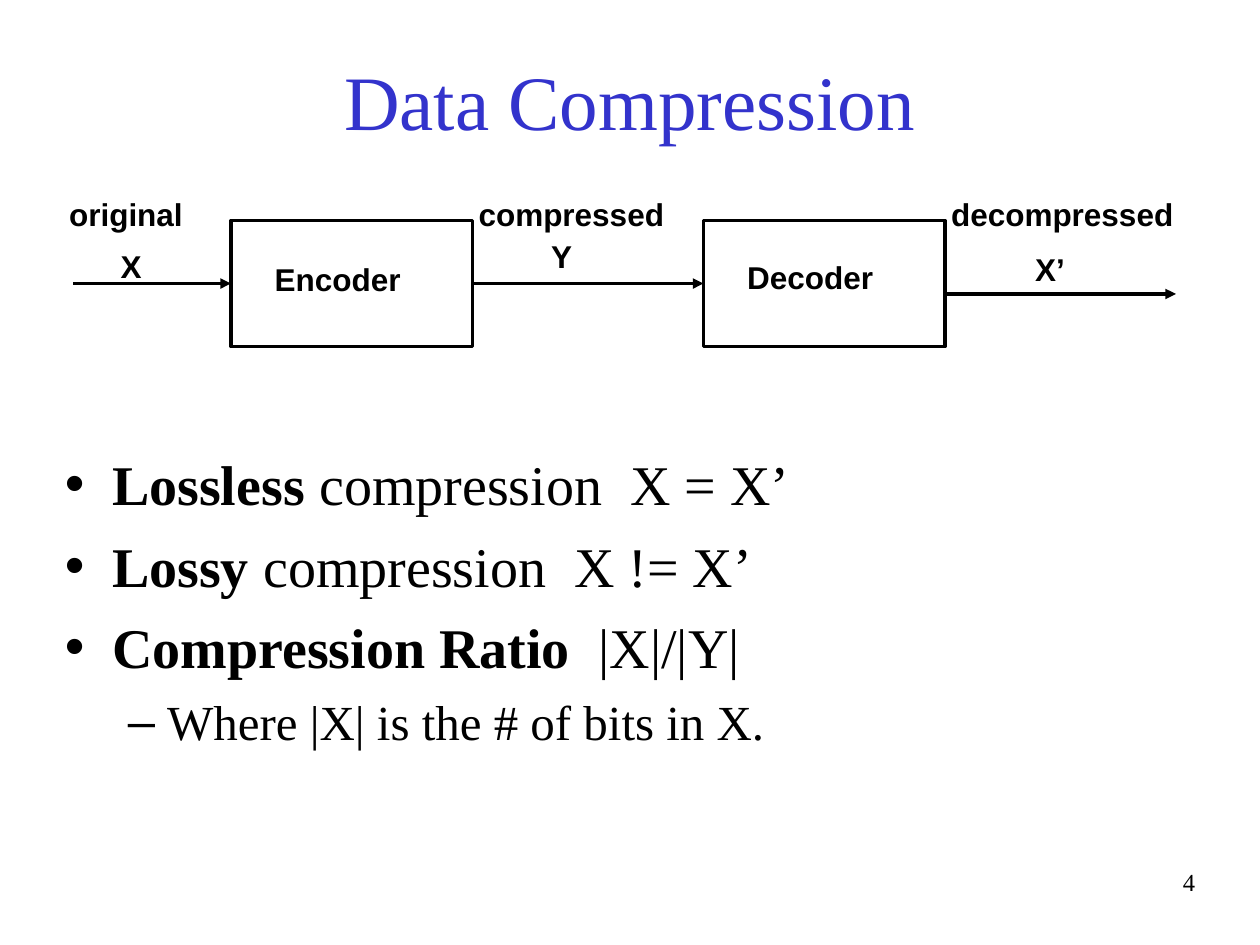
from lxml import etree
from pptx import Presentation
from pptx.dml.color import RGBColor
from pptx.enum.shapes import MSO_CONNECTOR, MSO_SHAPE
from pptx.enum.text import MSO_ANCHOR, MSO_AUTO_SIZE, PP_ALIGN
from pptx.oxml.ns import qn
from pptx.util import Pt

RECTANGLE = MSO_SHAPE.RECTANGLE
STRAIGHT = MSO_CONNECTOR.STRAIGHT
LEFT, CENTER, RIGHT = PP_ALIGN.LEFT, PP_ALIGN.CENTER, PP_ALIGN.RIGHT
MIDDLE = MSO_ANCHOR.MIDDLE
FIT_SHAPE = MSO_AUTO_SIZE.SHAPE_TO_FIT_TEXT
LEFT_SIDE, RIGHT_SIDE = 1, 3

COLORS = {"ink": "000000", "title": "3333CC"}
SERIF, SANS = "Times New Roman", "Arial"

STAGE_TOP, STAGE_WIDTH, STAGE_HEIGHT = 126, 138, 72
FLOW_Y = STAGE_TOP + STAGE_HEIGHT / 2

LABELS = [
    ("Encoder", 148, 145, 90, False),
    ("Decoder", 418, 144, 90, False),
    ("X", 60, 137.5, 30, True),
    ("Y", 306, 132, 30, True),
    ("X’", 576, 139.5, 48, True),
    ("original", 29, 108, 86, False),
    ("compressed", 263, 108, 127, False),
    ("decompressed", 533, 108, 148, False),
]

POINTS = [
    ("•", 32, 27, 27, 0, [("Lossless", True), (" compression  X = X’", False)]),
    ("•", 32, 27, 27, 8, [("Lossy", True), (" compression  X != X’", False)]),
    ("•", 32, 27, 27, 8, [("Compression Ratio", True), ("  |X|/|Y|", False)]),
    ("–", 28, 58.5, 22.5, 7, [("Where |X| is the # of bits in X.", False)]),
]


def color(name):
    return RGBColor.from_string(COLORS[name])


def add_run(paragraph, text, size, font=SERIF, ink="ink", bold=False):
    run = paragraph.add_run()
    run.text = text
    run.font.size = Pt(size)
    run.font.name = font
    run.font.bold = bold
    run.font.color.rgb = color(ink)


def add_frame(slide, left, top, width, height, wrap=True):
    box = slide.shapes.add_textbox(Pt(left), Pt(top), Pt(width), Pt(height))
    box.text_frame.word_wrap = wrap
    return box.text_frame


def add_line_of_text(frame, text, size, align, **style):
    paragraph = frame.paragraphs[0]
    paragraph.alignment = align
    add_run(paragraph, text, size, **style)


def add_label(slide, text, left, top, width, wrap):
    frame = add_frame(slide, left, top, width, 29, wrap)
    frame.auto_size = FIT_SHAPE
    add_line_of_text(frame, text, 18, CENTER, font=SANS, bold=True)


def add_stage(slide, left):
    stage = slide.shapes.add_shape(
        RECTANGLE, Pt(left), Pt(STAGE_TOP), Pt(STAGE_WIDTH), Pt(STAGE_HEIGHT))
    stage.shadow.inherit = False
    stage.fill.background()
    stage.line.color.rgb = color("ink")
    stage.line.width = Pt(2)
    return stage


def add_arrow(slide, start, end, y, source=None, target=None):
    arrow = slide.shapes.add_connector(STRAIGHT, Pt(start), Pt(y), Pt(end), Pt(y))
    if source is not None:
        arrow.begin_connect(source, RIGHT_SIDE)
    if target is not None:
        arrow.end_connect(target, LEFT_SIDE)
    arrow.line.color.rgb = color("ink")
    arrow.line.width = Pt(2)
    properties = arrow.element.spPr
    head = etree.SubElement(properties.find(qn("a:ln")), qn("a:tailEnd"))
    head.set("type", "triangle")
    etree.SubElement(properties, qn("a:effectLst"))


def set_bullet(paragraph, mark, margin, hanging):
    properties = paragraph._p.get_or_add_pPr()
    properties.set("marL", str(Pt(margin)))
    properties.set("indent", str(-Pt(hanging)))
    tint = etree.SubElement(properties, qn("a:buClr"))
    etree.SubElement(tint, qn("a:srgbClr")).set("val", COLORS["ink"])
    etree.SubElement(properties, qn("a:buFont")).set("typeface", SANS)
    etree.SubElement(properties, qn("a:buChar")).set("char", mark)


def add_points(slide):
    frame = add_frame(slide, 30, 253.5, 654, 250.5)
    for index, (mark, size, margin, hanging, gap, runs) in enumerate(POINTS):
        paragraph = frame.add_paragraph() if index else frame.paragraphs[0]
        paragraph.alignment = LEFT
        paragraph.level = 1 if mark == "–" else 0
        paragraph.space_before = Pt(gap)
        set_bullet(paragraph, mark, margin, hanging)
        for text, bold in runs:
            add_run(paragraph, text, size, bold=bold)


def main():
    deck = Presentation()
    deck.slide_width, deck.slide_height = Pt(720), Pt(540)
    slide = deck.slides.add_slide(deck.slide_layouts[6])

    add_points(slide)
    title = add_frame(slide, 54, 18, 612, 78)
    title.vertical_anchor = MIDDLE
    add_line_of_text(title, "Data Compression", 44, CENTER, ink="title")

    encoder, decoder = [add_stage(slide, left) for left in (132, 402)]
    add_arrow(slide, 270, 402, FLOW_Y, encoder, decoder)
    add_arrow(slide, 42, 132, FLOW_Y, target=encoder)
    add_arrow(slide, 540, 672, 168)
    for label in LABELS:
        add_label(slide, *label)

    page_number = add_frame(slide, 540, 492, 150, 36)
    add_line_of_text(page_number, "4", 14, RIGHT)
    deck.save("out.pptx")


if __name__ == "__main__":
    main()
